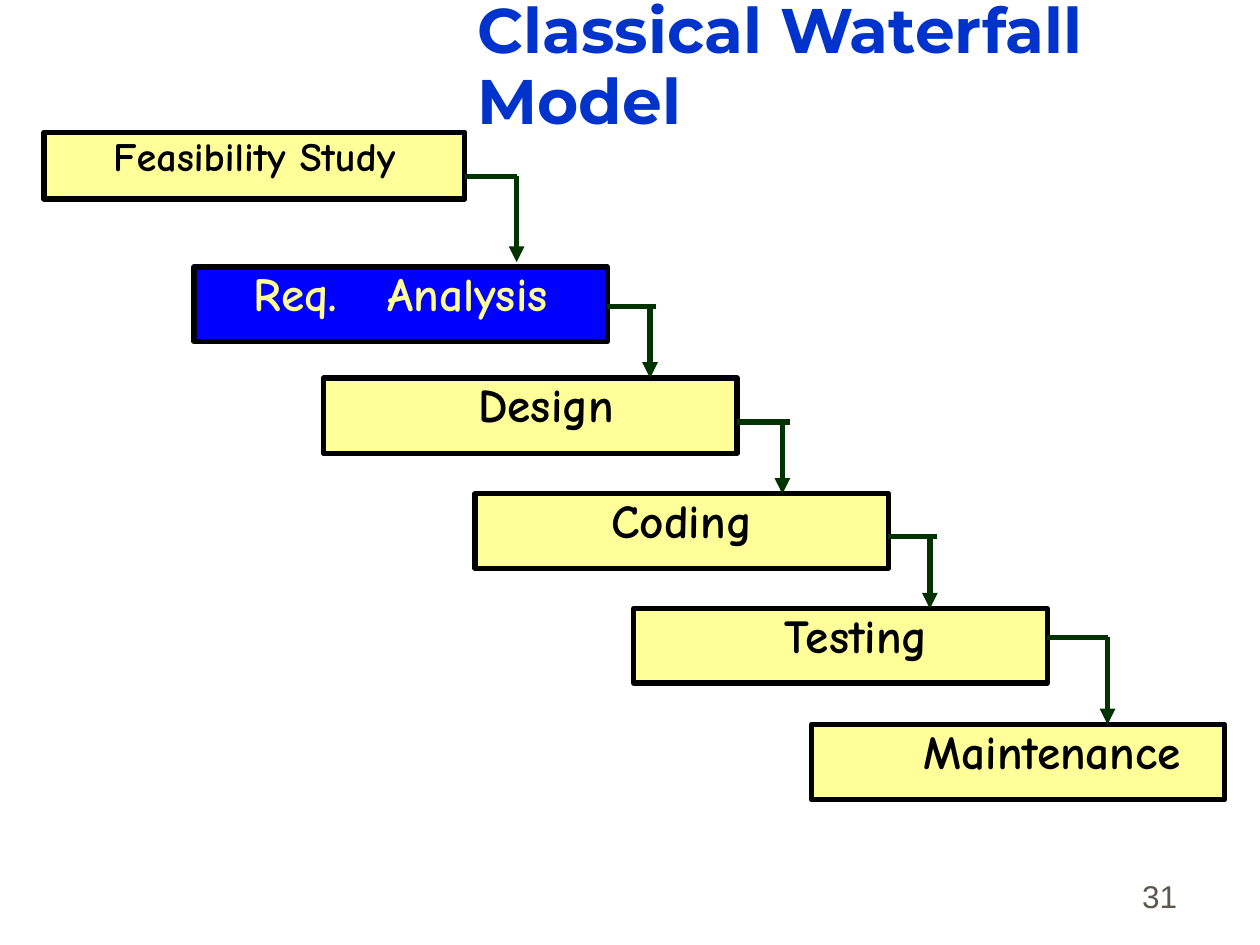
from itertools import pairwise
from lxml import etree
from pptx import Presentation
from pptx.dml.color import RGBColor
from pptx.enum import shapes, text
from pptx.oxml.ns import qn
from pptx.util import Pt

# Content: label runs, left, top, width, height, extra left inset
HEADING = "Classical Waterfall Model"
PAGE = "31"
PHASES = [
    (["Feasibility Study"], 25.2, 75.6, 240.5, 38.2, 0),
    (["Req.", " ", "Analysis"], 110.9, 152.6, 236.2, 42.5, 0),
    (["Design"], 185, 216, 236.2, 43, 18),
    (["Coding"], 271.4, 282.2, 236.2, 42.5, 0),
    (["Testing"], 362.2, 347.8, 236.2, 42.5, 18),
    (["Maintenance"], 463.7, 414, 236.2, 43, 39),
]
ACTIVE = 1
# Steps between phases: exit height, drop offset, bar overhang, gap below the tip
STEPS = [
    (100.8, 29.5, 0, 2.8),
    (175, 24.4, 3.6, 0),
    (241.2, 25.9, 4.3, 0),
    (306.7, 23.8, 4.3, 0),
    (364.3, 34.5, 0, 0),
]

THEME = {
    "heading": ("Montserrat", 36, "0033CC", True),
    "first": ("Comic Neue", 23, "000000", True),
    "phase": ("Comic Neue", 27, "000000", True),
    "active": ("Comic Neue", 27, "FFFF99", True),
    "page": ("Arial", 18, "5E574E", False),
    "fill": "FFFF99",
    "active_fill": "0000FF",
    "border": "000000",
    "arrow": "003300",
    "line": 3,
    "word_gap": 19,
}


def color(key):
    return RGBColor.from_string(THEME[key])


def add_run(paragraph, words, style):
    run = paragraph.add_run()
    run.text = words
    face, size, ink, bold = THEME[style]
    run.font.name, run.font.size, run.font.bold = face, Pt(size), bold
    run.font.color.rgb = RGBColor.from_string(ink)
    return run


def set_frame(frame, anchor, left=1.44):
    frame.word_wrap = True
    frame.vertical_anchor = anchor
    frame.margin_left, frame.margin_right = Pt(left), Pt(1.44)
    frame.margin_top = frame.margin_bottom = Pt(3.6)


def add_line(slide, x1, y1, x2, y2, arrow=False):
    line = slide.shapes.add_connector(
        shapes.MSO_CONNECTOR.STRAIGHT, Pt(x1), Pt(y1), Pt(x2), Pt(y2))
    line.line.color.rgb = color("arrow")
    line.line.width = Pt(THEME["line"])
    if arrow:
        etree.SubElement(line.line._get_or_add_ln(), qn("a:tailEnd"), type="triangle")
    etree.SubElement(line._element.spPr, qn("a:effectLst"))


def add_phase(slide, index, phase):
    words, left, top, width, height, indent = phase
    box = slide.shapes.add_shape(
        shapes.MSO_SHAPE.RECTANGLE, Pt(left), Pt(top), Pt(width), Pt(height))
    box.shadow.inherit = False
    box.fill.solid()
    box.fill.fore_color.rgb = color("active_fill" if index == ACTIVE else "fill")
    box.line.color.rgb = color("border")
    box.line.width = Pt(THEME["line"])
    set_frame(box.text_frame, text.MSO_ANCHOR.TOP, 1.44 + indent)
    label = box.text_frame.paragraphs[0]
    label.alignment = text.PP_ALIGN.CENTER
    label.line_spacing, label.space_before = 0.85, Pt(8.6)
    style = {0: "first", ACTIVE: "active"}.get(index, "phase")
    for word in words:
        run = add_run(label, word, style)
        if word == " ":  # widen the gap between the words
            run.font._element.set("spc", str(THEME["word_gap"] * 100))


def main():
    deck = Presentation()
    deck.slide_width, deck.slide_height = Pt(720), Pt(540)
    slide = deck.slides.add_slide(deck.slide_layouts[5])

    # Heading
    heading = slide.shapes.title
    heading.left, heading.top = Pt(271.4), Pt(1.4)
    heading.width, heading.height = Pt(422), Pt(74.2)
    set_frame(heading.text_frame, text.MSO_ANCHOR.MIDDLE)
    heading.text_frame.auto_size = text.MSO_AUTO_SIZE.NONE
    title_line = heading.text_frame.paragraphs[0]
    title_line.alignment = text.PP_ALIGN.LEFT
    title_line.line_spacing, title_line.space_before = 0.94, Pt(6.8)
    add_run(title_line, HEADING, "heading")

    # Phases
    for index, phase in enumerate(PHASES):
        add_phase(slide, index, phase)

    # Steps from each phase down to the next
    for (phase, following), (y, offset, overhang, gap) in zip(pairwise(PHASES), STEPS):
        right = phase[1] + phase[3]
        drop = right + offset
        add_line(slide, right, y, drop + overhang, y)
        add_line(slide, drop, y, drop, following[2] - gap, arrow=True)

    # Page number
    page = slide.shapes.add_textbox(Pt(529.9), Pt(490.3), Pt(149.8), Pt(36))
    page.text_frame.word_wrap = True
    page.text_frame.vertical_anchor = text.MSO_ANCHOR.BOTTOM
    number = page.text_frame.paragraphs[0]
    number.alignment = text.PP_ALIGN.RIGHT
    add_run(number, PAGE, "page")

    deck.save("out.pptx")


if __name__ == "__main__":
    main()
